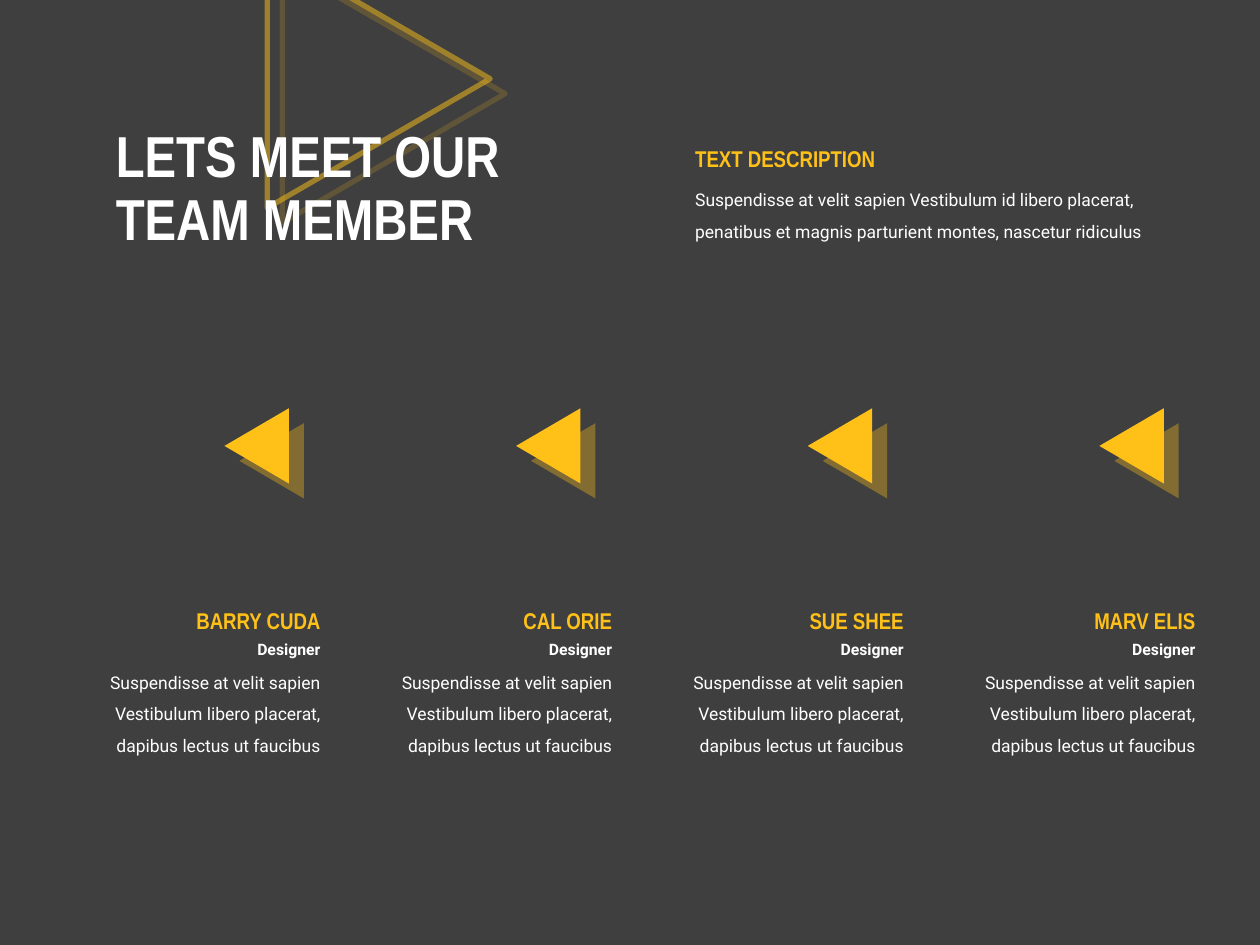
from lxml import etree
from pptx import Presentation
from pptx.dml.color import RGBColor
from pptx.enum import shapes, text
from pptx.oxml import ns
from pptx.util import Pt

GOLD, WHITE, CHARCOAL = "FFC118", "FFFFFF", "3F3F3F"
HEADING, BODY = "Arial Narrow", "Roboto"
MEMBERS = ["BARRY CUDA", "CAL ORIE", "SUE SHEE", "MARV ELIS"]
BIO = ("Suspendisse at velit sapien Vestibulum libero placerat, "
       "dapibus lectus ut faucibus")
DESCRIPTION = ("Suspendisse at velit sapien Vestibulum id libero placerat, "
               "penatibus et magnis parturient montes, nascetur ridiculus")
FIRST_RIGHT, PITCH = 190.1, 166.65


def paint(color_format, color):
    """Set a colour from a hex string."""
    color_format.rgb = RGBColor.from_string(color)


def place(part, left, top, width, height):
    """Position and size a shape in points."""
    part.left, part.top = Pt(left), Pt(top)
    part.width, part.height = Pt(width), Pt(height)


def write(frame, words, size, font, color, bold=False, align=text.PP_ALIGN.LEFT, spacing=1.0):
    """Fill a text frame with one formatted paragraph."""
    frame.word_wrap = True
    paragraph = frame.paragraphs[0]
    paragraph.text = words
    paragraph.alignment, paragraph.line_spacing = align, spacing
    for run in paragraph.runs:
        run.font.size, run.font.name, run.font.bold = Pt(size), font, bold
        paint(run.font.color, color)


def add_label(slide, box, words, size, font, color, **style):
    """Add a text box holding one paragraph."""
    label = slide.shapes.add_textbox(*map(Pt, box))
    write(label.text_frame, words, size, font, color, **style)


def add_alpha(color_node, percent):
    """Make a colour node partly transparent."""
    etree.SubElement(color_node, ns.qn("a:alpha"), val=str(percent * 1000))


def add_triangle(slide, box, rotation):
    """Add a rotated triangle with a hard offset gold shadow."""
    triangle = slide.shapes.add_shape(shapes.MSO_SHAPE.ISOSCELES_TRIANGLE, *map(Pt, box))
    triangle.rotation = rotation
    triangle.shadow.inherit = False
    effects = triangle.element.spPr.find(ns.qn("a:effectLst"))
    shadow = etree.SubElement(effects, ns.qn("a:outerShdw"), blurRad="0", dist=str(Pt(12.1)),
                              dir="2700000", algn="tl", rotWithShape="0")
    add_alpha(etree.SubElement(shadow, ns.qn("a:srgbClr"), val=GOLD), 35)
    return triangle


def add_outline_triangle(slide):
    """Add the large open triangle behind the title."""
    outline = add_triangle(slide, (142.6, -18.7, 147.6, 127.4), 90)
    outline.fill.background()
    outline.line.width = Pt(3)
    paint(outline.line.color, GOLD)
    add_alpha(outline.element.spPr.find(".//" + ns.qn("a:ln")).find(".//" + ns.qn("a:srgbClr")), 50)


def add_title(slide):
    """Place the title in front of the open triangle."""
    title = slide.shapes.title
    place(title, 59, 51.8, 303.8, 113.8)
    write(title.text_frame, "LETS MEET OUR\vTEAM MEMBER", 33, HEADING, WHITE, bold=True, spacing=0.9)
    title.text_frame.vertical_anchor = text.MSO_ANCHOR.MIDDLE
    title.text_frame.auto_size = text.MSO_AUTO_SIZE.NONE
    slide.shapes.element.append(title.element)


def add_member(slide, name, right):
    """Add one team column, aligned to its right edge."""
    flush = text.PP_ALIGN.RIGHT
    add_label(slide, (right - 153.4, 374.4, 153.4, 61.2), BIO, 10, BODY, WHITE, align=flush, spacing=1.5)
    add_label(slide, (right - 100, 343.4, 100, 23), name, 13, HEADING, GOLD, bold=True, align=flush)
    add_label(slide, (right - 56.2, 362.2, 56.2, 18), "Designer", 9, BODY, WHITE, bold=True, align=flush)
    marker = add_triangle(slide, (right - 64.9, 236.4, 43, 36.8), 270)
    marker.fill.solid()
    paint(marker.fill.fore_color, GOLD)
    marker.line.fill.background()


def main():
    """Build the team slide and save it."""
    deck = Presentation()
    deck.slide_width, deck.slide_height = Pt(720), Pt(540)
    slide = deck.slides.add_slide(deck.slide_layouts[5])
    slide.background.fill.solid()
    paint(slide.background.fill.fore_color, CHARCOAL)
    add_outline_triangle(slide)
    add_title(slide)
    for column, name in enumerate(MEMBERS):
        add_member(slide, name, FIRST_RIGHT + column * PITCH)
    add_label(slide, (390.2, 98.6, 299.5, 43.2), DESCRIPTION, 10, BODY, WHITE, spacing=1.5)
    add_label(slide, (390.2, 79.2, 132.5, 38.9), "TEXT DESCRIPTION", 13, HEADING, GOLD, bold=True)
    deck.save("out.pptx")


main()
